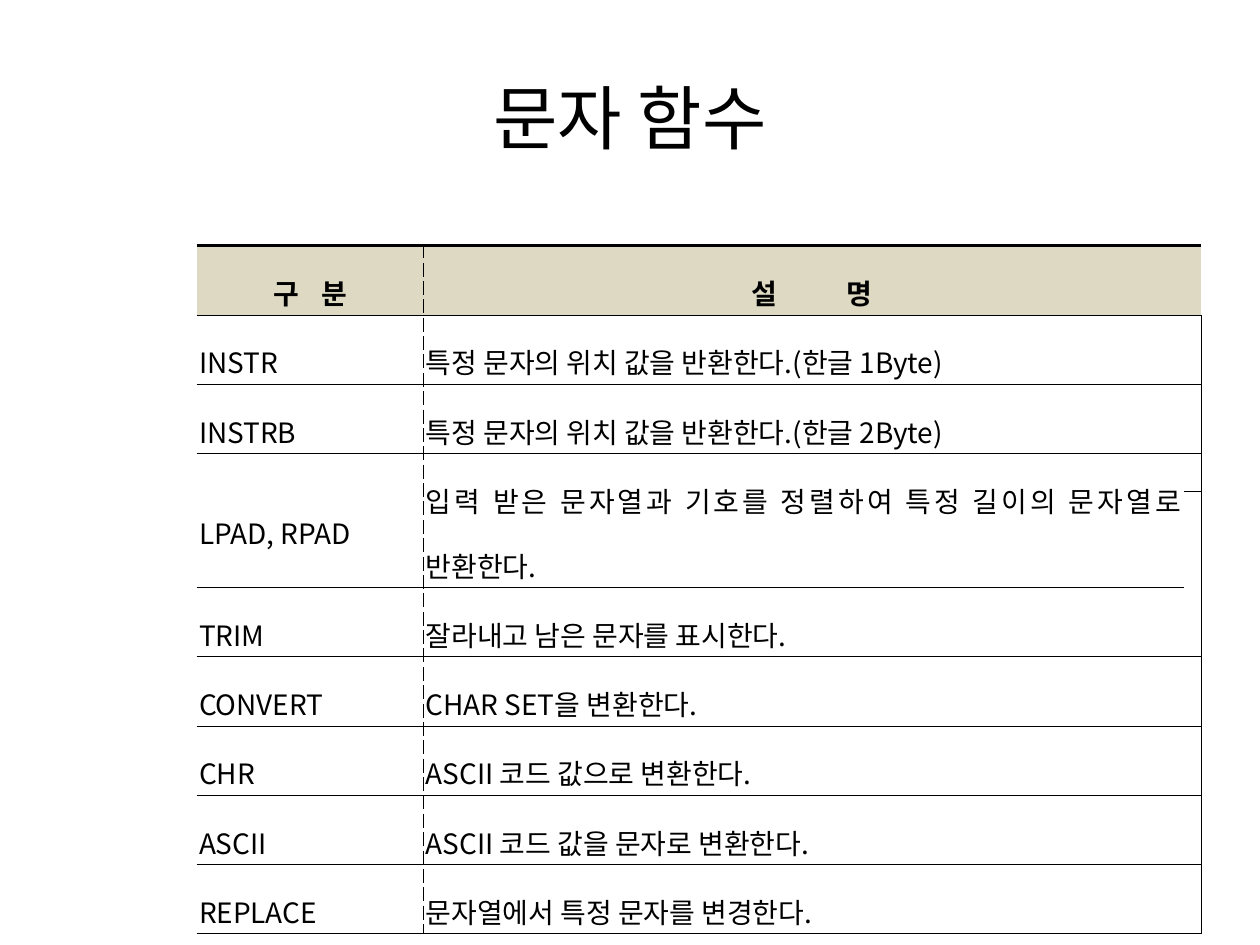
from dataclasses import dataclass
from lxml.etree import SubElement
from pptx import Presentation
from pptx.dml.color import RGBColor
from pptx.enum.text import MSO_ANCHOR as Anchor, PP_ALIGN as Align
from pptx.oxml.ns import qn
from pptx.util import Inches, Pt


@dataclass(frozen=True)
class Theme:
    font: str = "Noto Sans CJK KR"
    ink: str = "000000"
    paper: str = "FFFFFF"
    header: str = "DDD9C3"
    title_size: int = 40
    body_size: int = 16
    empty_size: int = 10


theme = Theme()
NO_STYLE = "{2D5ABB26-0587-4C30-8999-92F81FD0307C}"
TOP, THIN, EDGE, DASH = (1.98, "solid"), (0.25, "solid"), (0.28, "solid"), (0.56, "dash")


def write(frame, text, size=theme.body_size, bold=False, align=Align.JUSTIFY, spacing=None, gap=0):
    """Write one paragraph; gap widens each space by that many points."""
    para = frame.paragraphs[0]
    para.alignment = align
    if spacing:
        para.line_spacing = spacing
    pieces = text.replace(" ", "| |").split("|") if gap else [text]
    for piece in pieces:
        span = para.add_run()
        span.text = piece
        span.font.size, span.font.bold = Pt(size), bold
        span.font.name = theme.font
        span.font.color.rgb = RGBColor.from_string(theme.ink)
        props = span.font._element
        SubElement(props, qn("a:ea"), typeface=theme.font)
        if gap and piece == " ":
            props.set("spc", str(gap * 100))


def style_cell(cell, fill, **borders):
    """Set margins, fill and the given borders (L, R, T, B); other sides get none."""
    cell.margin_left = cell.margin_right = cell.margin_top = cell.margin_bottom = Inches(0.02)
    cell.vertical_anchor = Anchor.MIDDLE
    props = cell._tc.get_or_add_tcPr()
    for side in "LRTB":
        width, dash = borders.get(side, (0, None))
        line = SubElement(props, qn(f"a:ln{side}"), w=str(Pt(width)))
        if dash:
            SubElement(SubElement(line, qn("a:solidFill")), qn("a:srgbClr"), val=theme.ink)
            SubElement(line, qn("a:prstDash"), val=dash)
        else:
            SubElement(line, qn("a:noFill"))
    cell.fill.solid()
    cell.fill.fore_color.rgb = RGBColor.from_string(fill)


deck = Presentation()
deck.slide_width, deck.slide_height = Inches(10), Inches(7.5)
page = deck.slides.add_slide(deck.slide_layouts[6])

# Title
box = page.shapes.add_textbox(Inches(0.5), Inches(0.3), Inches(9), Inches(1.25))
box.text_frame.word_wrap = True
box.text_frame.vertical_anchor = Anchor.MIDDLE
write(box.text_frame, "문자 함수", size=theme.title_size, align=Align.CENTER)

# Function table: row number, name, description
functions = [
    (1, "INSTR", "특정 문자의 위치 값을 반환한다.(한글 1Byte)"),
    (2, "INSTRB", "특정 문자의 위치 값을 반환한다.(한글 2Byte)"),
    (3, "LPAD, RPAD", "입력 받은 문자열과 기호를 정렬하여 특정 길이의 문자열로 반환한다."),
    (5, "TRIM", "잘라내고 남은 문자를 표시한다."),
    (6, "CONVERT", "CHAR SET을 변환한다."),
    (7, "CHR", "ASCII 코드 값으로 변환한다."),
    (8, "ASCII", "ASCII 코드 값을 문자로 변환한다."),
    (9, "REPLACE", "문자열에서 특정 문자를 변경한다."),
]
widths = [1.8, 6.04, 0.13]
heights = [0.55] * 3 + [0.3, 0.76] + [0.55] * 5
holder = page.shapes.add_table(len(heights), len(widths), Inches(1.56), Inches(1.95),
                               Inches(sum(widths)), Inches(sum(heights)))
table = holder.table
table.first_row = table.horz_banding = False
table._tbl.tblPr.find(qn("a:tableStyleId")).text = NO_STYLE
for column, width in zip(table.columns, widths):
    column.width = Inches(width)
for row, height in zip(table.rows, heights):
    row.height = Inches(height)

# Merged cells
for first, last in [((0, 1), (0, 2)), ((3, 0), (4, 0)), ((3, 1), (4, 1)), ((4, 2), (5, 2))]:
    table.cell(*first).merge(table.cell(*last))

# Header row
for index, (label, gap) in enumerate([("구 분", 9), ("설 명", 36)]):
    cell = table.cell(0, index)
    style_cell(cell, theme.header, T=TOP, B=THIN, **{"RL"[index]: DASH})
    write(cell.text_frame, label, bold=True, align=Align.CENTER, spacing=1.6, gap=gap)

# Body rows
for number, name, description in functions:
    for index, text in enumerate([name, description]):
        cell = table.cell(number, index)
        style_cell(cell, theme.paper, T=THIN, B=THIN, **{"RL"[index]: DASH})
        write(cell.text_frame, text, spacing=1.6)

# Narrow right edge, and small type in every empty cell
for number in range(len(heights)):
    edge = table.cell(number, 2)
    if not edge.is_spanned:
        style_cell(edge, theme.paper, T=EDGE, R=EDGE, B=EDGE)
for cell in table.iter_cells():
    if not cell.text:
        SubElement(cell.text_frame.paragraphs[0]._p, qn("a:endParaRPr"), sz=str(theme.empty_size * 100))

deck.save("out.pptx")
